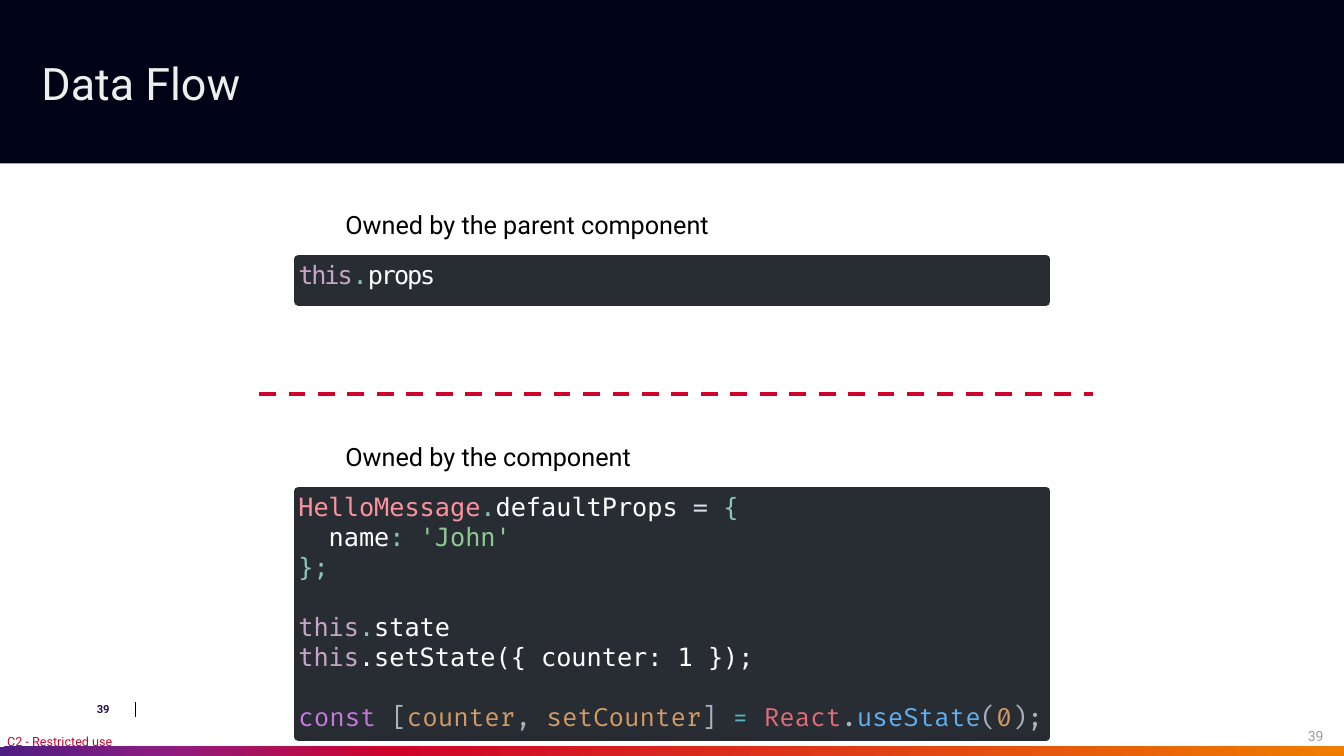
from lxml.etree import SubElement
from pptx import Presentation
from pptx.dml.color import RGBColor
from pptx.enum.dml import MSO_LINE
from pptx.enum.shapes import MSO_CONNECTOR, MSO_SHAPE
from pptx.enum.text import MSO_ANCHOR as ANCHOR, PP_ALIGN as ALIGN
from pptx.oxml import parse_xml
from pptx.oxml.ns import nsdecls, qn
from pptx.util import Inches, Pt

WIDTH, HEIGHT = Inches(13.33), Inches(7.5)

WHITE = RGBColor(0xFF, 0xFF, 0xFF)
BLACK = RGBColor(0x00, 0x00, 0x00)
NAVY = RGBColor(0x00, 0x03, 0x16)
TITLE = RGBColor(0xEE, 0xEE, 0xED)
RED = RGBColor(0xCF, 0x02, 0x2B)
INDIGO = RGBColor(0x2A, 0x14, 0x49)
GREY = RGBColor(0x9D, 0x9D, 0x98)
VIOLET = RGBColor(0x4D, 0x1D, 0x82)
MAGENTA = RGBColor(0x8B, 0x1D, 0x82)
ORANGE = RGBColor(0xF0, 0x7D, 0x00)
PANEL = RGBColor(0x28, 0x2C, 0x33)
PANEL_EDGE = RGBColor(0x28, 0x2C, 0x32)

# Syntax colours
THIS = RGBColor(0xC5, 0xA5, 0xC5)
PUNCT = RGBColor(0x88, 0xC6, 0xBE)
CLASS = RGBColor(0xFC, 0x92, 0x9E)
EQUALS = RGBColor(0xD7, 0xDE, 0xEA)
STRING = RGBColor(0x8D, 0xC8, 0x91)
KEYWORD = RGBColor(0xC6, 0x78, 0xDD)
BRACKET = RGBColor(0xAB, 0xB2, 0xBF)
NAME = RGBColor(0xD1, 0x9A, 0x66)
OPERATOR = RGBColor(0x56, 0xB6, 0xC2)
OBJECT = RGBColor(0xE0, 0x6C, 0x75)
METHOD = RGBColor(0x61, 0xAF, 0xEF)

SANS, MONO, FIRA = "Roboto", "DejaVu Sans Mono", "Fira Code"
CODE_LINE = 21  # points from one code line to the next

# Each line: font, skipped lines above, coloured runs
PROPS_CODE = [
    (MONO, 0, [("this", THIS), (".", PUNCT), ("props", WHITE)]),
]
STATE_CODE = [
    (MONO, 0, [("HelloMessage", CLASS), (".", PUNCT), ("defaultProps ", WHITE),
               ("= ", EQUALS), ("{", PUNCT)]),
    (MONO, 0, [("  name", WHITE), (": ", PUNCT), ("'John'", STRING)]),
    (MONO, 0, [("};", PUNCT)]),
    (MONO, 1, [("this", THIS), (".", PUNCT), ("state", WHITE)]),
    (MONO, 0, [("this", THIS), (".setState({ counter: 1 });", WHITE)]),
    (FIRA, 1, [("const", KEYWORD), (" [", BRACKET), ("counter", NAME),
               (", ", BRACKET), ("setCounter", NAME), ("] ", BRACKET),
               ("= ", OPERATOR), ("React", OBJECT), (".", BRACKET),
               ("useState", METHOD), ("(", BRACKET), ("0", NAME),
               (");", BRACKET)]),
]


def x(share):
    """Percent of the slide's width."""
    return int(WIDTH * share / 100)


def y(share):
    """Percent of the slide's height."""
    return int(HEIGHT * share / 100)


def place(left, top, width, height):
    return x(left), y(top), x(width), y(height)


def set_insets(tf, inset=0):
    tf.margin_left = tf.margin_right = Inches(inset)
    tf.margin_top = tf.margin_bottom = Inches(inset)


def add_run(p, text, size, color, font=SANS, bold=False):
    r = p.add_run()
    r.text = text
    r.font.size, r.font.name, r.font.bold = Pt(size), font, bold
    r.font.color.rgb = color
    return r


def add_text(slide, box, text, size, color, bold=False, inset=0,
             align=ALIGN.LEFT, anchor=ANCHOR.TOP):
    tf = slide.shapes.add_textbox(*place(*box)).text_frame
    tf.word_wrap = True
    tf.vertical_anchor = anchor
    set_insets(tf, inset)
    p = tf.paragraphs[0]
    p.alignment = align
    add_run(p, text, size, color, bold=bold)


def add_rect(slide, box, color):
    sp = slide.shapes.add_shape(MSO_SHAPE.RECTANGLE, *place(*box))
    sp.shadow.inherit = False
    sp.fill.solid()
    sp.fill.fore_color.rgb = color
    sp.line.fill.background()
    return sp


def add_gradient_strip(slide, box, stops, angle):
    sp = add_rect(slide, box, stops[0][1])
    marks = "".join(f'<a:gs pos="{share * 1000}"><a:srgbClr val="{color}"/></a:gs>'
                    for share, color in stops)
    grad = parse_xml(f'<a:gradFill {nsdecls("a")} rotWithShape="1"><a:gsLst>{marks}'
                     f'</a:gsLst><a:lin ang="{angle * 60000}" scaled="0"/></a:gradFill>')
    spPr = sp._element.spPr
    spPr.replace(spPr.find(qn("a:solidFill")), grad)


def add_line(slide, start, end, color, width, dash=None):
    ln = slide.shapes.add_connector(MSO_CONNECTOR.STRAIGHT, x(start[0]), y(start[1]),
                                    x(end[0]), y(end[1]))
    ln.line.color.rgb = color
    ln.line.width = Pt(width)
    if dash:
        ln.line.dash_style = dash
    SubElement(ln._element.spPr, qn("a:effectLst"))


def add_code_panel(slide, top, height, lines, tracking=0):
    """Dark panel with rounded edge; tracking is in points."""
    sp = add_rect(slide, (22.2, top, 55.65, height), PANEL)
    sp.line.color.rgb = PANEL_EDGE
    sp.line.width = Pt(6)
    SubElement(sp.line._get_or_add_ln(), qn("a:round"))
    tf = sp.text_frame
    tf.word_wrap = False
    tf.vertical_anchor = ANCHOR.TOP
    set_insets(tf)
    for i, (font, skipped, runs) in enumerate(lines):
        p = tf.add_paragraph() if i else tf.paragraphs[0]
        p.alignment = ALIGN.LEFT
        if skipped:
            p.space_before = Pt(skipped * CODE_LINE)
        for text, color in runs:
            r = add_run(p, text, 18, color, font)
            if tracking:
                r._r.get_or_add_rPr().set("spc", str(int(tracking * 100)))


def add_frame(slide):
    """Footer marks, colour strip and title band."""
    add_text(slide, (7.2, 92.93, 11.48, 1.73), "39", 8, INDIGO, bold=True,
             anchor=ANCHOR.MIDDLE)
    add_line(slide, (10.05, 92.8), (10.05, 94.8), BLACK, 0.5)
    add_gradient_strip(slide, (-0.08, 98.8, 100.15, 1.6),
                       [(0, VIOLET), (12, MAGENTA), (29, RED), (100, ORANGE)], 10)
    add_text(slide, (0.53, 97.07, 8.48, 2), "C2 - Restricted use", 9, RED)
    add_rect(slide, (0, 0, 100, 21.6), NAVY)
    add_text(slide, (93.6, 96.27, 4.88, 2.27), "39", 10, GREY, align=ALIGN.RIGHT)
    add_text(slide, (2.78, 6.8, 94.5, 12.67), "Data Flow", 32, TITLE, inset=0.04)


def main():
    prs = Presentation()
    prs.slide_width, prs.slide_height = WIDTH, HEIGHT
    slide = prs.slides.add_slide(prs.slide_layouts[6])
    add_frame(slide)
    add_text(slide, (25.7, 27.73, 37.88, 5.6), "Owned by the parent component", 18, BLACK)
    add_text(slide, (25.7, 58.4, 30.23, 5.87), "Owned by the component", 18, BLACK)
    add_line(slide, (19.28, 52.13), (81.3, 52.13), RED, 3, MSO_LINE.DASH)
    add_code_panel(slide, 34.27, 5.6, PROPS_CODE, tracking=-1.5)
    add_code_panel(slide, 64.93, 32.53, STATE_CODE)
    prs.save("out.pptx")


if __name__ == "__main__":
    main()
